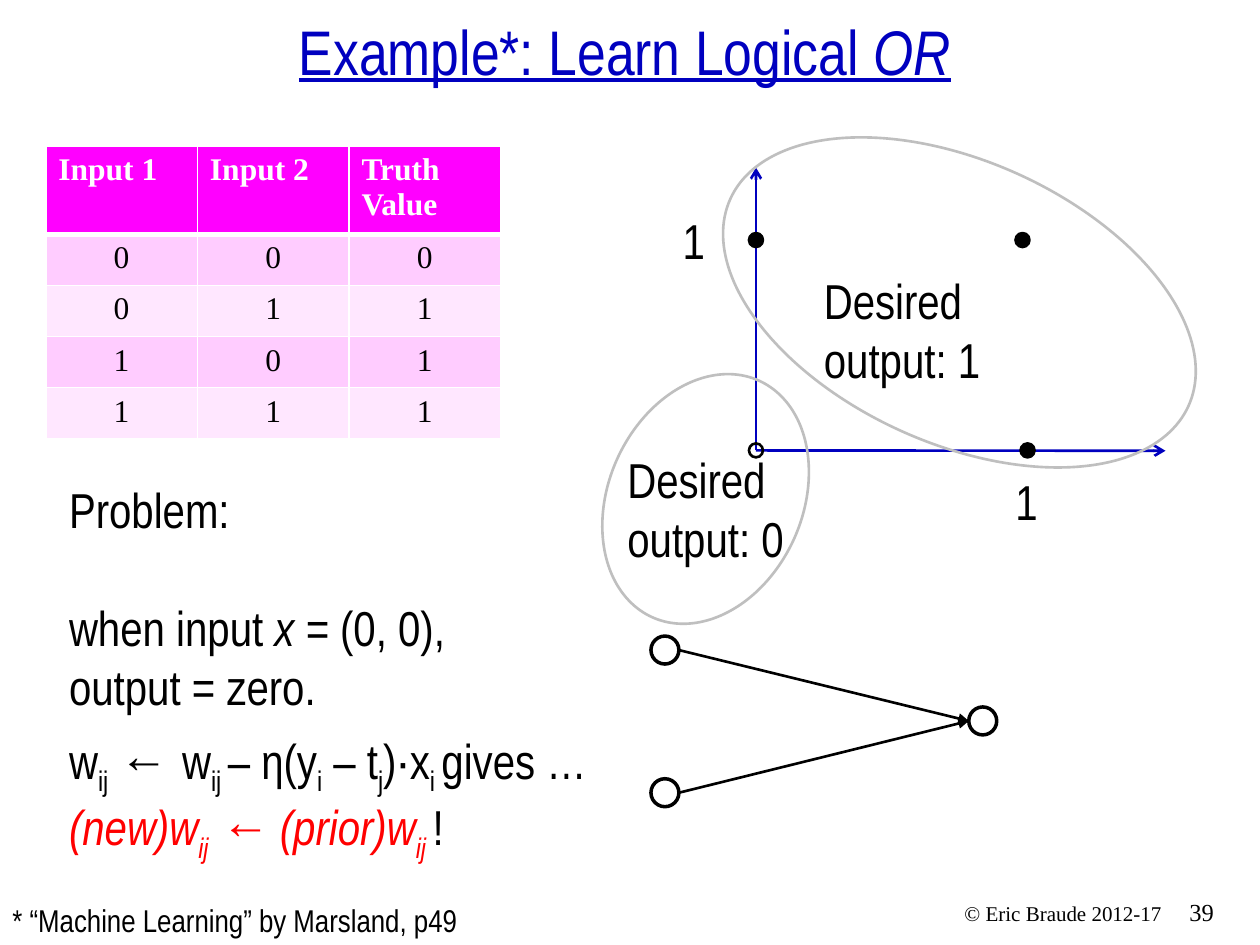
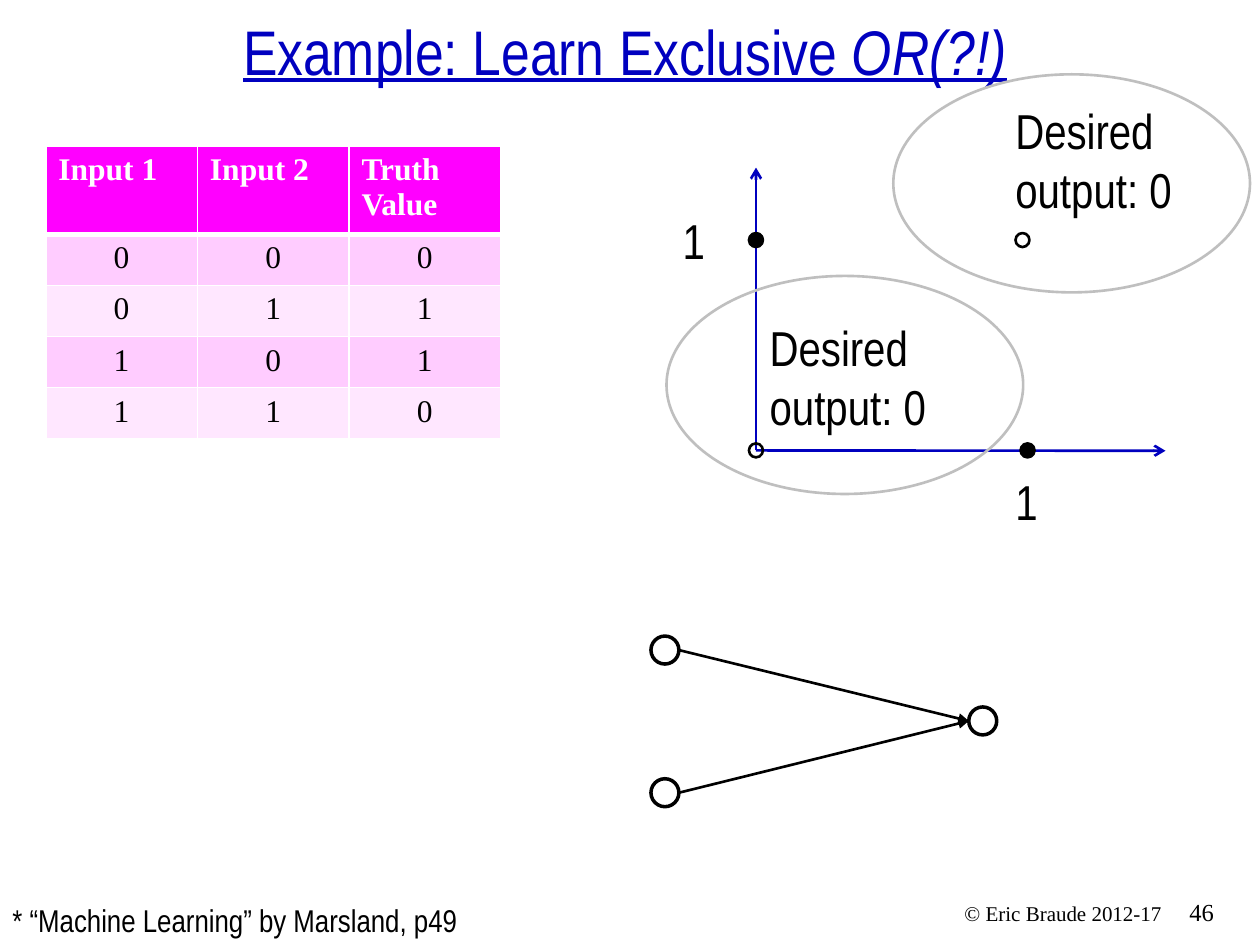
from lxml.etree import SubElement
from pptx import Presentation
from pptx.dml.color import RGBColor
from pptx.enum.shapes import MSO_CONNECTOR as CONN, MSO_SHAPE as SHAPE
from pptx.enum.text import MSO_ANCHOR as ANCHOR, MSO_AUTO_SIZE as AUTO, PP_ALIGN as ALIGN
from pptx.oxml.ns import qn
from pptx.util import Pt

BLACK, WHITE, BLUE, RED, GRAY = "000000", "FFFFFF", "0000BF", "FF0000", "BFBFBF"
HEADER, BANDS = "FF00FF", ("FFCCFF", "FFE7FF")
NARROW, SERIF = "Arial Narrow", "Times New Roman"
ORIGIN, UNIT_Y, UNIT_X, CORNER = (432, 257.4), (432, 137.2), (587.2, 257.4), (584.3, 137.2)
INPUTS = [(0, 0), (0, 1), (1, 0), (1, 1)]


def rgb(code):
    """Turn a hex string into a colour."""
    return RGBColor.from_string(code)


class Deck:
    """Hold the shared style and the current slide."""

    def __init__(self):
        """Start an empty 4:3 presentation."""
        self.prs = Presentation()
        self.prs.slide_width, self.prs.slide_height = Pt(720), Pt(540)
        self.s = None

    def new_slide(self):
        """Add a blank slide and make it current."""
        self.s = self.prs.slides.add_slide(self.prs.slide_layouts[6])

    def style(self, r, size, color=BLACK, font=NARROW, marks=""):
        """Format a run; marks are b(old), i(talic), u(nderline), s(ubscript)."""
        f = r.font
        f.size, f.name, f.color.rgb = Pt(size), font, rgb(color)
        f.bold, f.italic, f.underline = "b" in marks, "i" in marks, "u" in marks
        if "s" in marks:
            r._r.get_or_add_rPr().set("baseline", "-25000")

    def text(self, x, y, w, h, paragraphs, size=28, font=NARROW, wrap=True,
             align=ALIGN.LEFT):
        """Add a text box of plain strings or lists of (text, marks, colour)."""
        tf = self.s.shapes.add_textbox(Pt(x), Pt(y), Pt(w), Pt(h)).text_frame
        tf.word_wrap, tf.auto_size = wrap, AUTO.SHAPE_TO_FIT_TEXT
        for i, content in enumerate(paragraphs):
            p = tf.add_paragraph() if i else tf.paragraphs[0]
            p.alignment = align
            if isinstance(content, str):
                content = [(content, "", BLACK)]
            for words, marks, color in content:
                r = p.add_run()
                r.text = words
                self.style(r, size, color, font, marks)
        return tf

    def title(self, plain, italic):
        """Add the underlined title with an italic ending."""
        tf = self.text(0, 15.1, 714.2, 38.9, [[(plain, "u", BLUE), (italic, "ui", BLUE)]],
                       size=36, align=ALIGN.CENTER)
        tf.auto_size, tf.vertical_anchor = AUTO.NONE, ANCHOR.BOTTOM

    def footer(self, number):
        """Add the source note, the copyright line and the slide number."""
        self.text(0, 511.2, 272.2, 28.8, ["* “Machine Learning” by Marsland, p49"],
                  size=18, wrap=False)
        self.text(478.8, 511.2, 192.2, 21.6, ["© Eric Braude 2012-17"],
                  size=12, font=SERIF, align=ALIGN.RIGHT)
        self.text(672.5, 509, 41.8, 23.8, [str(number)], size=14, font=SERIF)

    def ellipse(self, x, y, w, h, fill=None, line=GRAY, width=1.5, angle=0):
        """Add an outlined ellipse."""
        sp = self.s.shapes.add_shape(SHAPE.OVAL, Pt(x), Pt(y), Pt(w), Pt(h))
        sp.shadow.inherit, sp.rotation = False, angle
        sp.line.color.rgb, sp.line.width = rgb(line), Pt(width)
        if fill:
            sp.fill.solid()
            sp.fill.fore_color.rgb = rgb(fill)
        else:
            sp.fill.background()

    def circle(self, center, size, fill=None, width=1.5):
        """Add a black circle around a centre."""
        x, y = center
        self.ellipse(x - size / 2, y - size / 2, size, size, fill, BLACK, width)

    def arrow(self, start, end, color, head):
        """Add a straight arrow."""
        c = self.s.shapes.add_connector(CONN.STRAIGHT, *map(Pt, start + end))
        c.line.color.rgb, c.line.width = rgb(color), Pt(1.5)
        SubElement(c.line._get_or_add_ln(), qn("a:tailEnd"), type=head)
        SubElement(c._element.spPr, qn("a:effectLst"))

    def network(self):
        """Draw two input nodes joined to one output node."""
        inputs, output, size = [(380, 371.5), (380, 453)], (561.6, 412), 16
        for node in inputs + [output]:
            self.circle(node, size, WHITE, 2)
        for x, y in inputs:
            self.arrow((x + size / 2, y), (output[0] - size / 2, output[1]), BLACK, "triangle")

    def plot(self, corner_fill):
        """Draw the axes, the four input points and the unit labels."""
        for end in ((432, 95.8), (666, 257.6)):
            self.arrow(ORIGIN, end, BLUE, "arrow")
        fills = {CORNER: corner_fill, UNIT_X: BLACK, UNIT_Y: BLACK, ORIGIN: None}
        for point, fill in fills.items():
            self.circle(point, 8, fill)
        for x, y in ((573.1, 265.7), (383, 116.6)):
            self.text(x, y, 27.4, 41, ["1"], wrap=False)

    def cell(self, cell, words, row):
        """Fill, border and format one table cell."""
        head = row == 0
        cell.text = str(words)
        p = cell.text_frame.paragraphs[0]
        p.alignment = ALIGN.LEFT if head else ALIGN.CENTER
        self.style(p.runs[0], 18, WHITE if head else BLACK, SERIF, "b" if head else "")
        widths = {"L": 1, "R": 1, "T": 3 if row == 1 else 1, "B": 3 if head else 1}
        for side, width in widths.items():
            ln = SubElement(cell._tc.get_or_add_tcPr(), qn("a:ln" + side), w=str(Pt(width)))
            SubElement(SubElement(ln, qn("a:solidFill")), qn("a:srgbClr"), val=WHITE)
        cell.fill.solid()
        cell.fill.fore_color.rgb = rgb(HEADER if head else BANDS[(row - 1) % 2])

    def truth_table(self, function):
        """Add the truth table of a two-input function."""
        rows = [("Input 1", "Input 2", "Truth Value")]
        rows += [(a, b, function(a, b)) for a, b in INPUTS]
        table = self.s.shapes.add_table(len(rows), 3, Pt(26.2), Pt(83.5),
                                        Pt(259.8), Pt(167.2)).table
        for column in table.columns:
            column.width = Pt(86.6)
        for i, values in enumerate(rows):
            table.rows[i].height = Pt(29.2 if i else 50.4)
            for j, value in enumerate(values):
                self.cell(table.cell(i, j), value, i)

    def common(self, number, title, function):
        """Add a slide with all the parts that both examples share."""
        self.new_slide()
        self.footer(number)
        self.network()
        self.title(*title)
        self.plot(BLACK if function(1, 1) else None)
        self.truth_table(function)

    def problem(self):
        """Add the statement of the problem with the weight update rule."""
        rule = [("w", "", BLACK), ("ij", "s", BLACK), (" ← w", "", BLACK),
                ("ij ", "s", BLACK), ("– η(y", "", BLACK), ("i", "s", BLACK),
                (" – t", "", BLACK), ("j", "s", BLACK), (")∙x", "", BLACK),
                ("i ", "s", BLACK), ("gives … ", "", BLACK), ("(new)w", "i", RED),
                ("ij", "is", RED), (" ← (prior)w", "i", RED), ("ij ", "is", RED),
                ("!", "", BLACK)]
        when = [("when input ", "", BLACK), ("x = ", "i", BLACK), ("(0, 0),", "", BLACK)]
        tf = self.text(32.4, 270.7, 321.1, 221, ["Problem:", when, "output = zero.", rule])
        tf.paragraphs[1].space_before = Pt(33.7)
        tf.paragraphs[3].space_before = Pt(8.4)


def main():
    """Build both slides."""
    deck = Deck()

    deck.common(39, ("Example*: Learn Logical ", "OR"), lambda a, b: a | b)
    deck.problem()
    deck.ellipse(404.6, 92.2, 287.3, 161.3, angle=24.3)
    deck.text(463.7, 151.2, 104.4, 74.9, ["Desired", "output: 1"], wrap=False)
    deck.text(351.4, 253.4, 109.4, 74.9, ["Desired output: 0"])
    deck.ellipse(347.8, 211, 110.9, 148.3, angle=24.3)

    deck.common(46, ("Example: Learn Exclusive ", "OR(?!)"), lambda a, b: a ^ b)
    deck.text(573.1, 54, 113.8, 74.9, ["Desired output: 0"])
    deck.text(432.7, 177.8, 109.4, 74.9, ["Desired output: 0"])
    for x, y in ((380.9, 157.7), (510.5, 42.5)):
        deck.ellipse(x, y, 203.8, 124.6)

    deck.prs.save("out.pptx")


if __name__ == "__main__":
    main()
